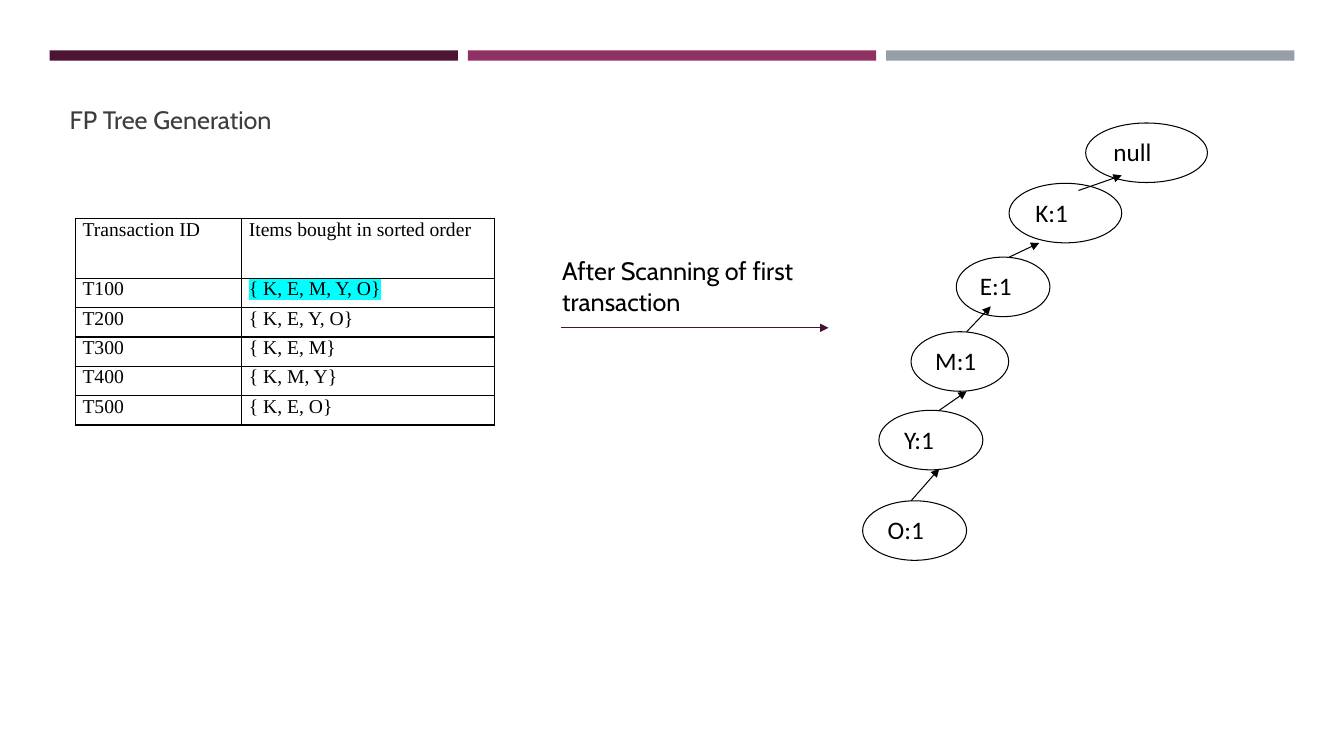
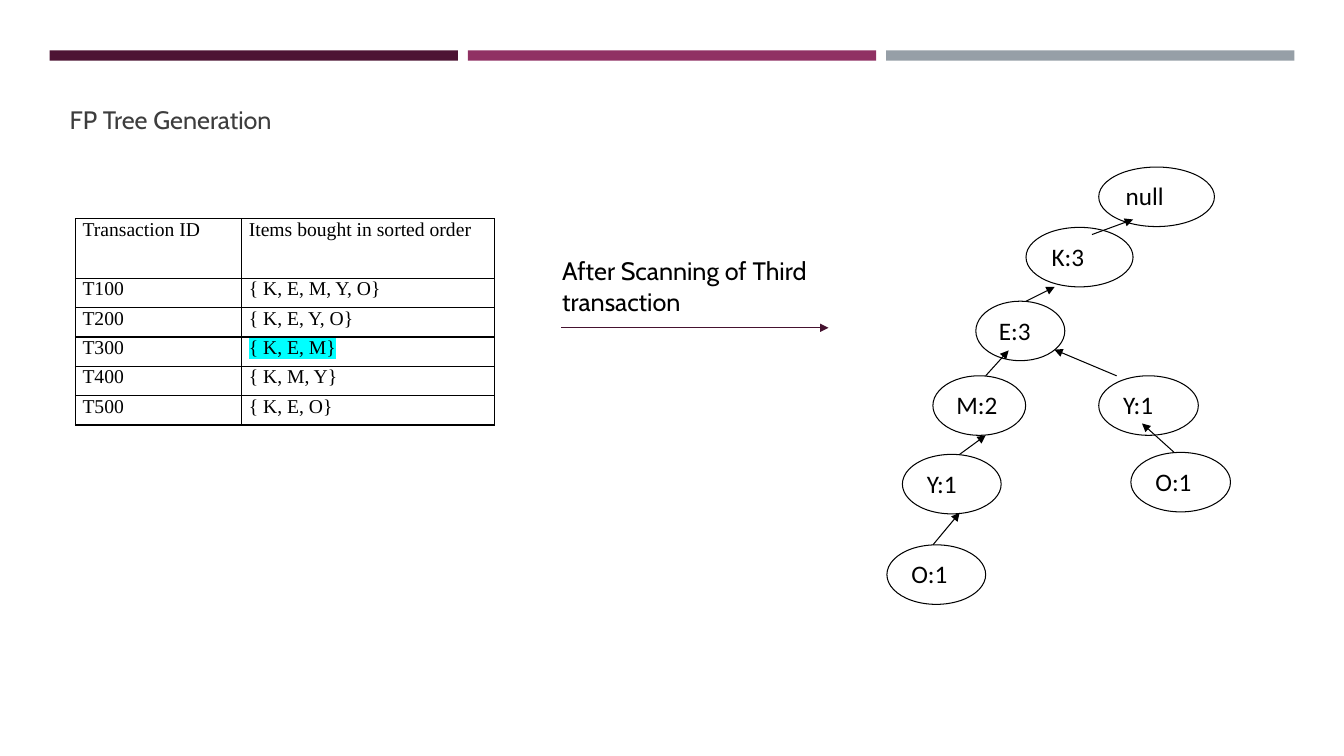
"""Builds two slides on the growth of an FP tree."""
from pptx import Presentation
from pptx.dml.color import RGBColor as Rgb
from pptx.enum.shapes import MSO_CONNECTOR as Link, MSO_SHAPE as Shape
from pptx.enum.text import MSO_ANCHOR as Anchor, MSO_AUTO_SIZE as Fit, PP_ALIGN as Align
from pptx.oxml.ns import qn
from pptx.util import Cm, Pt
from lxml.etree import SubElement as Sub

HUES = {
    "plum": "4D1434", "berry": "903163", "steel": "969FA7", "wine": "45122F",
    "gray": "3D3D3D", "black": "000000", "white": "FFFFFF", "mark": "00FFFF",
}
ROWS = [
    ("Transaction ID", "Items bought in sorted order"),
    ("T100", "{ K, E, M, Y, O}"),
    ("T200", "{ K, E, Y, O}"),
    ("T300", "{ K, E, M}"),
    ("T400", "{ K, M, Y}"),
    ("T500", "{ K, E, O}"),
]
NODES = [(0, 0, 3.07), (-1.93, 1.52, 2.84), (-3.26, 3.38, 2.36),
         (-4.4, 5.26, 2.46), (-5.21, 7.24, 2.62), (-5.62, 9.52, 2.62)]
EDGES = [(-0.18, 1.7, 0.91, 1.32), (-1.93, 3.38, -1.17, 3.02),
         (-3, 5.26, -2.39, 4.62), (-3.69, 7.24, -3, 6.76),
         (-4.4, 9.52, -3.69, 8.71)]


class Deck:
    """Holds the style and the current slide."""

    def __init__(self):
        self.show = Presentation()
        self.show.slide_width, self.show.slide_height = Cm(33.87), Cm(19.05)

    def hue(self, name):
        return Rgb.from_string(HUES[name])

    def style(self, frame, face, size=18, hue="black", after=0):
        for para in frame.paragraphs:
            para.alignment = Align.LEFT
            para.space_before, para.space_after = Pt(0), Pt(after)
            for run in para.runs:
                run.font.name, run.font.size = face, Pt(size)
                run.font.color.rgb = self.hue(hue)

    def page(self, title):
        self.slide = self.show.slides.add_slide(self.show.slide_layouts[5])
        self.shapes = self.slide.shapes
        for i, hue in enumerate(("plum", "berry", "steel")):
            self.shape(Shape.RECTANGLE, 1.25 + i * 10.54, 1.27, 10.29, 0.26, hue)
        head = self.shapes.title
        head.left, head.top, head.width, head.height = Cm(1.5), Cm(2.51), Cm(10.41), Cm(3.38)
        frame = head.text_frame
        frame.text = title
        frame.vertical_anchor, frame.auto_size = Anchor.TOP, Fit.NONE
        self.style(frame, "Cabin", hue="gray", after=6)

    def shape(self, kind, x, y, w, h, fill):
        item = self.shapes.add_shape(kind, Cm(x), Cm(y), Cm(w), Cm(h))
        item.shadow.inherit = False
        item.fill.solid()
        item.fill.fore_color.rgb = self.hue(fill)
        item.line.fill.background()
        return item

    def node(self, text, x, y, w):
        item = self.shape(Shape.OVAL, x, y, w, 1.5, "white")
        item.line.color.rgb, item.line.width = self.hue("black"), Pt(0.75)
        item.text_frame.text = text
        item.text_frame.vertical_anchor = Anchor.TOP
        self.style(item.text_frame, "Calibri", after=10)

    def arrow(self, x1, y1, x2, y2, hue="black", width=0.75):
        item = self.shapes.add_connector(Link.STRAIGHT, Cm(x1), Cm(y1), Cm(x2), Cm(y2))
        item.line.color.rgb, item.line.width = self.hue(hue), Pt(width)
        props = item._element.spPr
        Sub(props.find(qn("a:ln")), qn("a:tailEnd"), type="triangle")
        Sub(props, qn("a:effectLst"))

    def note(self, text):
        frame = self.shapes.add_textbox(Cm(13.92), Cm(6.32), Cm(7.85), Cm(1.8)).text_frame
        frame.word_wrap = True
        frame.text = text
        self.style(frame, "Cabin")
        self.arrow(14.15, 8.26, 20.88, 8.26, "wine", 1)

    def edge(self, cell):
        props = cell._tc.get_or_add_tcPr()
        for side in ("lnL", "lnR", "lnT", "lnB"):
            line = Sub(props, qn("a:" + side), w=str(Pt(1)))
            Sub(Sub(line, qn("a:solidFill")), qn("a:srgbClr"), val=HUES["black"])

    def mark(self, run):
        light = Sub(run._r.get_or_add_rPr(), qn("a:highlight"))
        Sub(light, qn("a:srgbClr"), val=HUES["mark"])
        run._r.rPr.find(qn("a:latin")).addprevious(light)

    def table(self, rows, lit):
        grid = self.shapes.add_table(len(rows), 2, Cm(1.9), Cm(5.51), Cm(10.57), Cm(5.2)).table
        grid.first_row = grid.horz_banding = False
        grid.columns[0].width, grid.columns[1].width = Cm(4.19), Cm(6.38)
        for i, row in enumerate(rows):
            grid.rows[i].height = Cm(0.74 if i else 1.5)
            for j, text in enumerate(row):
                cell = grid.cell(i, j)
                cell.text = text
                cell.margin_left = cell.margin_right = Cm(0.18)
                cell.margin_top = cell.margin_bottom = 0
                self.edge(cell)
                cell.fill.background()
                self.style(cell.text_frame, "Times New Roman", 14)
        self.mark(grid.cell(lit, 1).text_frame.paragraphs[0].runs[0])

    def chain(self, names, x, y, scale=1):
        for name, (dx, dy, w) in zip(names, NODES):
            self.node(name, x + dx * scale, y + dy, w * scale)
        for x1, y1, x2, y2 in EDGES:
            self.arrow(x + x1 * scale, y + y1, x + x2 * scale, y + y2)

    def step(self, order, lit):
        self.page("FP Tree Generation")
        self.table(ROWS, lit)
        self.note(f"After Scanning of {order} transaction")


def main():
    deck = Deck()
    deck.step("first", 1)
    deck.chain(("null", "K:1", "E:1", "M:1", "Y:1", "O:1"), 27.36, 3.1)

    deck.step("Third", 3)
    deck.chain(("null", "K:3", "E:3", "M:2", "Y:1", "O:1"), 27.69, 4.21, 0.95)
    deck.node("Y:1", 27.69, 9.47, 2.51)
    deck.node("O:1", 28.5, 11.4, 2.51)
    deck.arrow(29.59, 11.4, 28.78, 10.67)
    deck.arrow(28.14, 9.47, 26.57, 8.81)
    deck.show.save("out.pptx")


if __name__ == "__main__":
    main()
